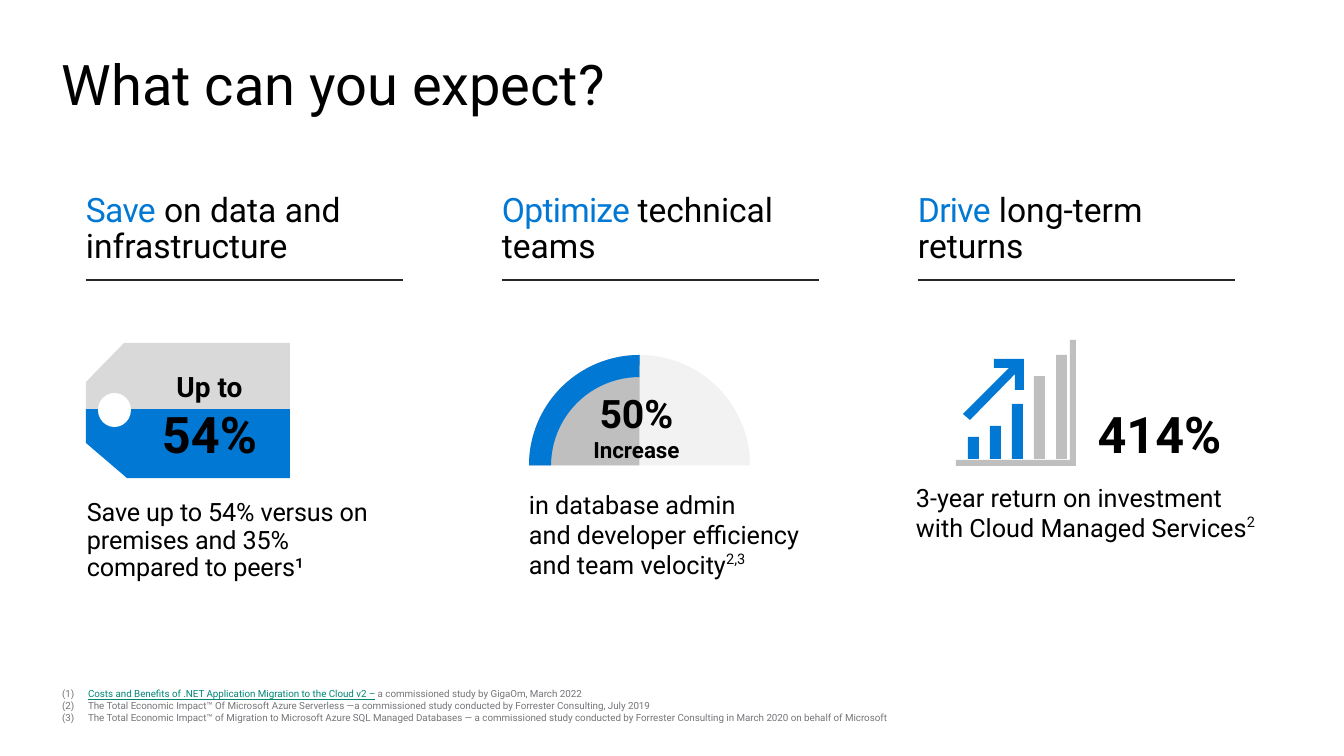
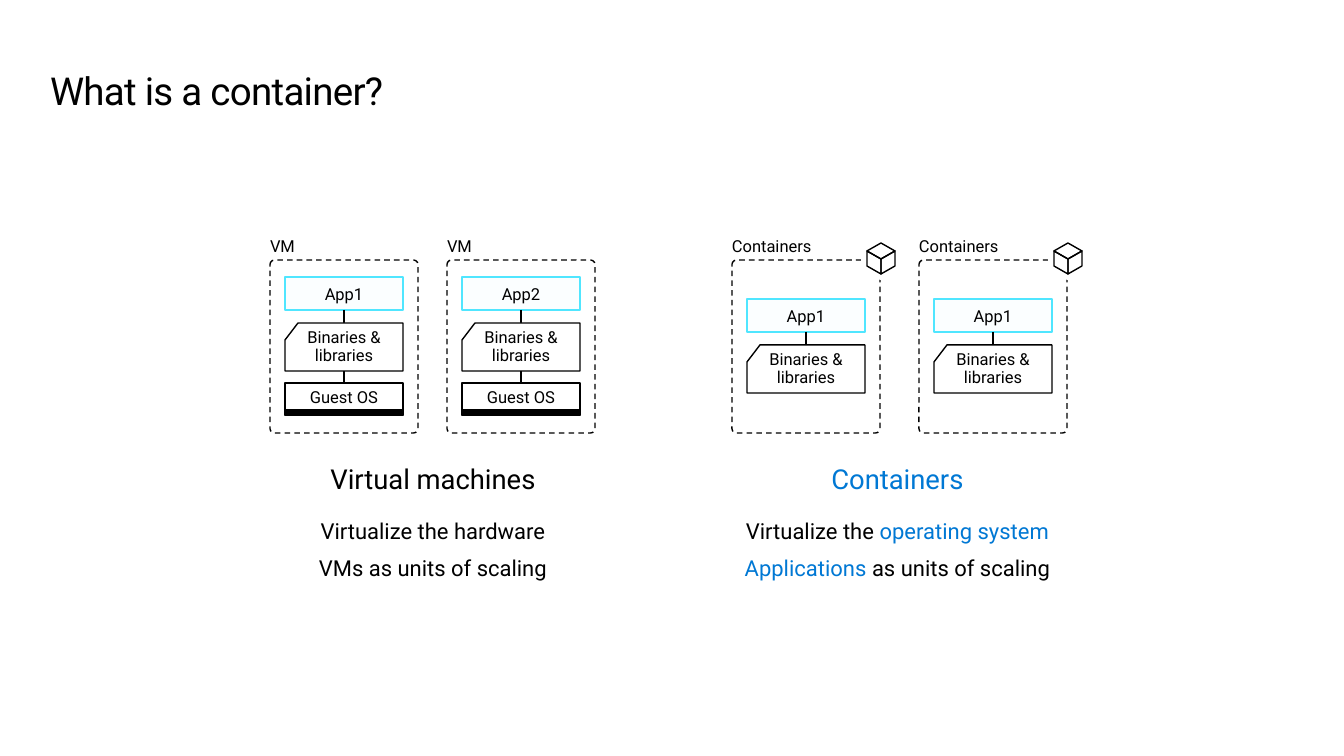
from dataclasses import dataclass
from typing import NamedTuple

from lxml import etree
from pptx import Presentation
from pptx import util as u
from pptx.dml.color import RGBColor
from pptx.enum import dml, shapes, text
from pptx.oxml.ns import qn

PX = 12192000 / 1344
FONT = "Roboto"
COLORS = {
    "black": "000000", "white": "FFFFFF", "blue": "0078D4", "rule": "282828",
    "tag": "D9D9D9", "dial": "F2F2F2", "gray": "BFBFBF", "note": "75757A",
    "link": "008575", "cyan": "50E6FF",
}
SHAPE = shapes.MSO_SHAPE
ALIGN = text.PP_ALIGN
ANCHOR = text.MSO_ANCHOR
COLUMN_INSETS = (0, 5, 10, 5)
NO_INSETS = (0, 0, 0, 0)


class Span(NamedTuple):
    text: str
    color: str | None = None
    size: float | None = None
    spacing: float = 0
    raised: bool = False
    underline: bool = False


class Area(NamedTuple):
    left: int
    top: int
    width: int
    height: int


@dataclass
class Benefit:
    verb: str
    rest: str
    detail: list[Span]
    detail_area: Area
    leading: float | None = None


@dataclass
class Stack:
    left: int
    label: str
    app: str
    app_top: int
    is_vm: bool


@dataclass
class Caption:
    left: int
    width: int
    color: str
    heading: str
    lines: list[list[Span]]


def px(length: float) -> u.Emu:
    return u.Emu(round(length * PX))


def rgb(name: str) -> RGBColor:
    return RGBColor.from_string(COLORS[name])


def write(frame, paragraphs: list[list[Span]], *, size: float, color: str = "black",
          bold: bool = False, align=ALIGN.LEFT, leading: float | None = None,
          anchor=ANCHOR.TOP, insets: tuple = COLUMN_INSETS, hanging: tuple | None = None) -> None:
    """Fill a text frame; hanging is (left margin, first-line indent) in px."""
    frame.word_wrap = True
    frame.auto_size = text.MSO_AUTO_SIZE.NONE
    frame.vertical_anchor = anchor
    (frame.margin_left, frame.margin_top,
     frame.margin_right, frame.margin_bottom) = map(px, insets)
    for index, spans in enumerate(paragraphs):
        para = frame.add_paragraph() if index else frame.paragraphs[0]
        para.alignment = align
        para.space_before = u.Pt(0)
        if leading:
            para.line_spacing = leading
        if hanging:
            properties = para._p.get_or_add_pPr()
            properties.set("marL", str(px(hanging[0])))
            properties.set("indent", str(px(hanging[1])))
        for span in spans:
            for number, piece in enumerate(span.text.split("\n")):
                if number:
                    para.add_line_break()
                run = para.add_run()
                run.text = piece
                font = run.font
                font.name = FONT
                font.size = u.Pt(span.size or size)
                font.bold = bold
                font.color.rgb = rgb(span.color or color)
                if span.underline:
                    font.underline = True
                if span.spacing:
                    run._r.get_or_add_rPr().set("spc", str(round(span.spacing * 100)))
                if span.raised:
                    run._r.get_or_add_rPr().set("baseline", "40000")


def add_text(page, area: Area, paragraphs: list[list[Span]], **style) -> None:
    box = page.shapes.add_textbox(*map(px, area))
    write(box.text_frame, paragraphs, **style)


def paint(shape, fill: str | None, line: str | None) -> None:
    shape.shadow.inherit = False
    if fill:
        shape.fill.solid()
        shape.fill.fore_color.rgb = rgb(fill)
    else:
        shape.fill.background()
    if line:
        shape.line.color.rgb = rgb(line)
        shape.line.width = u.Pt(1)
    else:
        shape.line.fill.background()


def add_shape(page, kind, area: Area, fill: str | None = None,
              line: str | None = None, adjust: tuple = ()):
    shape = page.shapes.add_shape(kind, *map(px, area))
    for index, value in enumerate(adjust):
        shape.adjustments[index] = value
    paint(shape, fill, line)
    return shape


def add_outline(page, contours: list[list[tuple]], fill: str | None = None,
                line: str | None = None):
    """Draw one freeform made of closed contours, given in px."""
    builder = page.shapes.build_freeform(*contours[0][0], scale=PX)
    for index, points in enumerate(contours):
        if index:
            builder.move_to(*points[0])
        builder.add_line_segments(points[1:], close=True)
    shape = builder.convert_to_shape()
    paint(shape, fill, line)
    return shape


def add_line(page, start: tuple, end: tuple, color: str, weight: float):
    line = page.shapes.add_connector(shapes.MSO_CONNECTOR.STRAIGHT, *map(px, start + end))
    line.line.color.rgb = rgb(color)
    line.line.width = u.Pt(weight)
    etree.SubElement(line._element.spPr, qn("a:effectLst"))
    return line


def add_page(deck, title: str, area: Area, **style):
    spacing = style.pop("spacing", 0)
    page = deck.slides.add_slide(deck.slide_layouts[5])
    holder = page.shapes.title
    holder.left, holder.top, holder.width, holder.height = map(px, area)
    write(holder.text_frame, [[Span(title, spacing=spacing)]], **style)
    return page


def draw_tag(page) -> None:
    add_outline(page, [[(86, 409), (290, 409), (290, 478), (127, 478), (86, 443)]], "blue")
    add_outline(page, [[(124, 343), (290, 343), (290, 409), (86, 409), (86, 382)]], "tag")
    add_shape(page, SHAPE.OVAL, Area(98, 393, 33, 34), "white")
    add_text(page, Area(149, 364, 131, 106), [[Span("Up to "), Span("54%", size=36)]],
             size=20, bold=True, align=ALIGN.CENTER)


def draw_dial(page) -> None:
    # Angles are in units of 100000/60000 of a degree: 108 is 180°, 162 is 270°.
    dial = Area(529, 355, 221, 221)
    add_shape(page, SHAPE.PIE, dial, "dial", adjust=(108, 0))
    add_shape(page, SHAPE.PIE, dial, "gray", adjust=(108, 162))
    add_shape(page, SHAPE.BLOCK_ARC, dial, "blue", adjust=(108, 162, 0.1))
    add_text(page, Area(584, 384, 115, 89), [[Span("50%"), Span(" Increase", size=16)]],
             size=28, bold=True, align=ALIGN.CENTER)


def draw_growth(page) -> None:
    base = 459
    for index, height in enumerate((22, 33, 55, 83, 104)):
        add_shape(page, SHAPE.RECTANGLE, Area(968 + 22 * index, base - height, 11, height),
                  "blue" if index < 3 else "gray")
    add_outline(page, [[(1024, 359), (1024, 390), (1015, 390), (1015, 374), (970, 420),
                        (963, 414), (1009, 368), (994, 368), (994, 359)]], "blue")
    for axis in (Area(1070, 340, 6, 124), Area(956, 460, 120, 6)):
        add_shape(page, SHAPE.RECTANGLE, axis, "gray")
    add_text(page, Area(1084, 398, 161, 66), [[Span("414%")]],
             size=36, bold=True, align=ALIGN.CENTER)


def build_benefits(deck) -> None:
    page = add_page(deck, "What can you expect?", Area(62, 52, 674, 77), size=40, leading=0.9)
    benefits = [
        Benefit("Save", " on data and infrastructure",
                [Span("Save up to 54% versus on premises and 35% compared to peers¹", spacing=-0.1)],
                Area(87, 495, 310, 96), 0.9),
        Benefit("Optimize ", "technical teams",
                [Span("in database admin\nand developer efficiency and team velocity"),
                 Span("2,3", raised=True)],
                Area(529, 484, 295, 111)),
        Benefit("Drive", " long-term returns",
                [Span("3-year return on investment with Cloud Managed Services"),
                 Span("2", raised=True)],
                Area(916, 477, 362, 73)),
    ]
    for index, benefit in enumerate(benefits):
        left = 86 + 416 * index
        add_text(page, Area(left, 188, 295, 73),
                 [[Span(benefit.verb, "blue", spacing=-0.5), Span(benefit.rest)]],
                 size=24, leading=0.9)
        add_line(page, (left, 280), (left + 317, 280), "rule", 1.25)
        add_text(page, benefit.detail_area, [benefit.detail], size=18, leading=benefit.leading)
    draw_tag(page)
    draw_dial(page)
    draw_growth(page)
    add_text(page, Area(60, 683, 882, 56), [
        [Span("(1)\t"),
         Span("Costs and Benefits of .NET Application Migration to the Cloud v2 –", "link",
              underline=True),
         Span(" a commissioned study by GigaOm, March 2022")],
        [Span("(2)\tThe Total Economic Impact™ Of Microsoft Azure Serverless —a commissioned "
              "study conducted by Forrester Consulting, July 2019")],
        [Span("(3)\tThe Total Economic Impact™ of Migration to Microsoft Azure SQL Managed "
              "Databases — a commissioned study conducted by Forrester Consulting in March 2020 "
              "on behalf of Microsoft")],
    ], size=7, color="note", hanging=(28, -26))


def draw_cube(page, left: int, top: int) -> None:
    add_shape(page, SHAPE.OVAL, Area(left - 6, top - 4, 41, 41), "white")
    middle, right = left + 14, left + 28
    back, front = (middle, top), (middle, top + 16)
    west, east = (left, top + 8), (right, top + 8)
    bottom = (middle, top + 31)
    add_outline(page, [[east, (right, top + 23), bottom, front],
                       [west, front, bottom, (left, top + 23)],
                       [back, east, front, west]], line="black")


def draw_stack(page, stack: Stack) -> None:
    left, width = stack.left + 15, 118
    label_style = dict(size=11.8, align=ALIGN.CENTER, anchor=ANCHOR.MIDDLE)
    app = add_shape(page, SHAPE.RECTANGLE, Area(left, stack.app_top, width, 33), "cyan", "cyan")
    tint = app._element.spPr.find(qn("a:solidFill"))[0]
    etree.SubElement(tint, qn("a:alpha")).set("val", "2000")
    write(app.text_frame, [[Span(stack.app)]], insets=NO_INSETS, **label_style)

    middle, library_top = left + width // 2, stack.app_top + 46
    link = add_line(page, (middle, stack.app_top + 33), (middle, library_top), "black", 1)
    link.begin_connect(app, 2)
    if stack.is_vm:
        guest = add_shape(page, SHAPE.RECTANGLE, Area(left, 383, width, 32), line="black")
        write(guest.text_frame, [[Span("Guest OS")]], insets=(0, 0, 0, 5), **label_style)
        link.end_connect(guest, 0)
        add_shape(page, SHAPE.RECTANGLE, Area(left, 410, width, 5), "black", "black")
    right, bottom = left + width, library_top + 48
    library = add_outline(page, [[(left, library_top + 17), (left + 13, library_top),
                                  (right, library_top), (right, bottom), (left, bottom)]],
                          "white", "black")
    write(library.text_frame, [[Span("Binaries & libraries")]], leading=0.9,
          insets=(6, 0, 6, 0), **label_style)

    border = add_shape(page, SHAPE.ROUNDED_RECTANGLE, Area(stack.left, 260, 148, 173),
                       line="black", adjust=(0.03,))
    border.line.dash_style = dml.MSO_LINE.DASH
    add_text(page, Area(stack.left, 236, 99, 20), [[Span(stack.label)]],
             size=11.8, anchor=ANCHOR.BOTTOM, insets=NO_INSETS)
    if not stack.is_vm:
        draw_cube(page, stack.left + 135, 243)


def build_containers(deck) -> None:
    page = add_page(deck, "What is a container?", Area(50, 67, 382, 46),
                    size=27.5, insets=NO_INSETS, spacing=-0.5)
    for stack in (Stack(270, "VM", "App1", 277, True),
                  Stack(447, "VM", "App2", 277, True),
                  Stack(732, "Containers", "App1", 299, False),
                  Stack(919, "Containers", "App1", 299, False)):
        draw_stack(page, stack)
    captions = [
        Caption(301, 264, "black", "Virtual machines",
                [[Span("Virtualize the hardware")], [Span("VMs as units of scaling")]]),
        Caption(724, 347, "blue", "Containers",
                [[Span("Virtualize the "), Span("operating system", "blue")],
                 [Span("Applications", "blue"), Span(" as units of scaling")]]),
    ]
    for caption in captions:
        style = dict(align=ALIGN.CENTER, insets=(10, 5, 10, 5))
        add_text(page, Area(caption.left, 461, caption.width, 36), [[Span(caption.heading)]],
                 size=19.6, color=caption.color, leading=0.9, **style)
        for row, line in enumerate(caption.lines):
            add_text(page, Area(caption.left, 513 + 37 * row, caption.width, 26), [line],
                     size=15.7, **style)


def main() -> None:
    deck = Presentation()
    deck.slide_width, deck.slide_height = px(1344), px(756)
    build_benefits(deck)
    build_containers(deck)
    deck.save("out.pptx")


if __name__ == "__main__":
    main()
